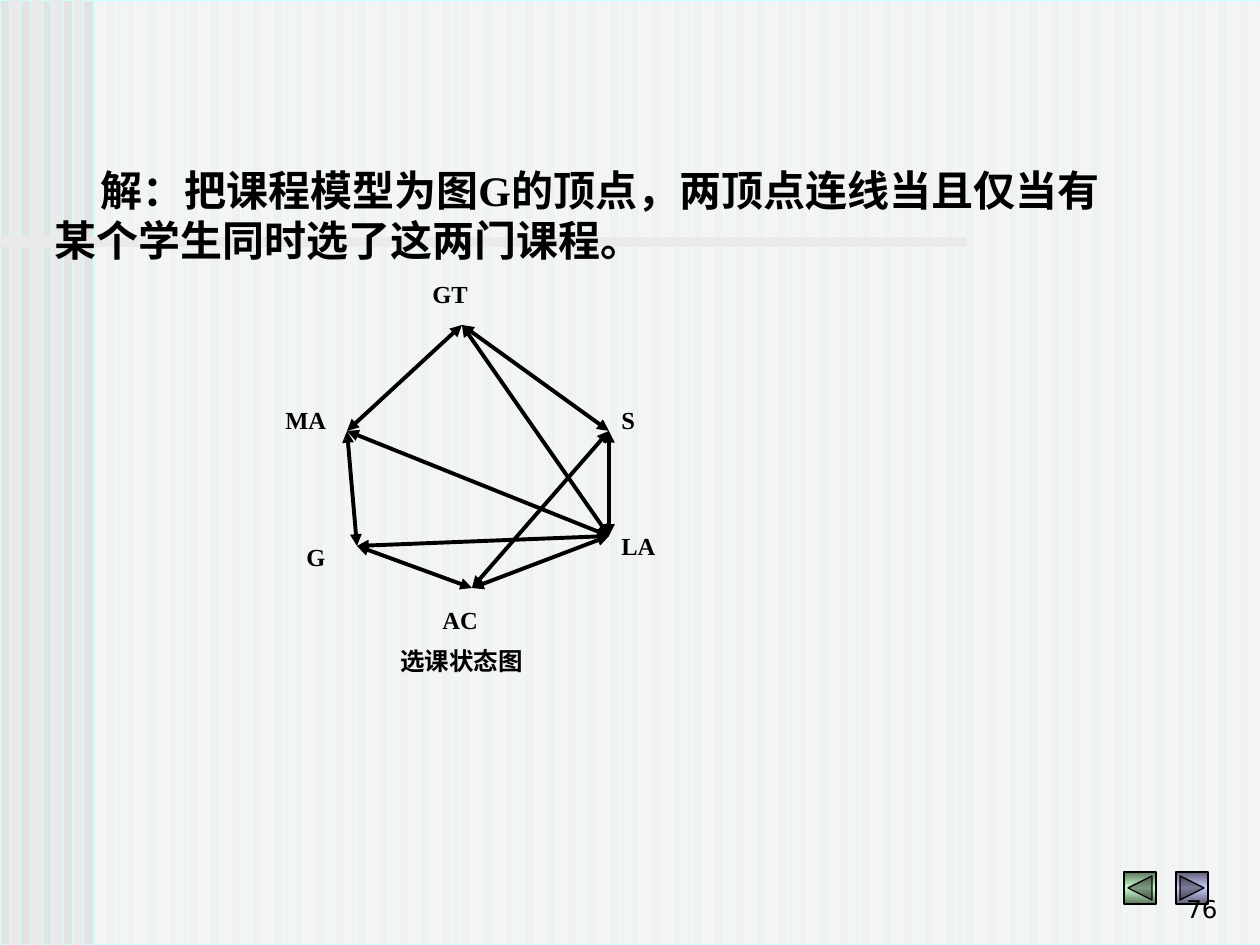
from dataclasses import dataclass

from lxml import etree
from pptx import Presentation
from pptx import util as u
from pptx.dml.color import RGBColor
from pptx.enum import shapes, text
from pptx.oxml import parse_xml
from pptx.oxml.ns import nsdecls, qn

PX_PER_INCH = 126
WIDTH, HEIGHT = 1260, 945
STRIPE_PITCH, STRIPE_WIDTH = 21, 10
LABEL_SIZE = (86, 43)


@dataclass(frozen=True)
class Theme:
    background: str = "EAEAEA"
    stripe: str = "DDDDDD"
    panel: str = "FFFFFF"
    edge: str = "CCFFFF"
    ink: str = "000000"
    body_font: str = "Times New Roman"
    number_font: str = "DejaVu Sans"
    body_size: float = 24
    label_size: float = 14
    thin: float = 0.5
    button_line: float = 0.75
    graph_line: float = 2.25
    rule_line: float = 6


@dataclass(frozen=True)
class Course:
    name: str
    vertex: tuple[int, int]
    label: tuple[int, int]


@dataclass(frozen=True)
class Button:
    preset: shapes.MSO_SHAPE
    left: int
    dark: str
    light: str


THEME = Theme()

COURSES = [
    Course("GT", (462, 325), (420, 273)),
    Course("MA", (347, 431), (273, 399)),
    Course("G", (357, 546), (294, 536)),
    Course("AC", (472, 588), (430, 599)),
    Course("LA", (609, 536), (609, 525)),
    Course("S", (609, 431), (609, 399)),
]

SHARED_STUDENTS = [
    ("GT", "MA"), ("GT", "S"), ("MA", "G"), ("S", "LA"), ("G", "AC"),
    ("LA", "AC"), ("GT", "LA"), ("MA", "LA"), ("G", "LA"), ("S", "AC"),
]

BUTTONS = [
    Button(shapes.MSO_SHAPE.ACTION_BUTTON_BACK_OR_PREVIOUS, 1124, "5E765E", "CCFFCC"),
    Button(shapes.MSO_SHAPE.ACTION_BUTTON_FORWARD_OR_NEXT, 1176, "5E5E76", "CCCCFF"),
]


def px(n: int) -> u.Emu:
    return u.Emu(round(n * 914400 / PX_PER_INCH))


def rgb(color: str) -> RGBColor:
    return RGBColor.from_string(color)


def set_line(sp, color: str, width: float) -> None:
    sp.line.color.rgb = rgb(color)
    sp.line.width = u.Pt(width)


def add_veil(tree, left: int, width: int, color: str) -> None:
    """Draw a full-height rectangle at half opacity."""
    sp = tree.add_shape(shapes.MSO_SHAPE.RECTANGLE, px(left), 0, px(width), px(HEIGHT))
    sp.shadow.inherit = False
    sp.fill.solid()
    sp.fill.fore_color.rgb = rgb(color)
    srgb = sp.fill._xPr.find(".//" + qn("a:srgbClr"))
    etree.SubElement(srgb, qn("a:alpha"), val="50000")
    set_line(sp, THEME.edge, THEME.thin)


def add_button(tree, button: Button) -> None:
    sp = tree.add_shape(button.preset, px(button.left), px(872), px(32), px(32))
    sp.shadow.inherit = False
    set_line(sp, THEME.ink, THEME.button_line)
    stops = "".join(
        f'<a:gs pos="{pos}"><a:srgbClr val="{color}"/></a:gs>'
        for pos, color in ((0, button.dark), (50000, button.light), (100000, button.dark))
    )
    gradient = parse_xml(
        f'<a:gradFill {nsdecls("a")}><a:gsLst>{stops}</a:gsLst>'
        '<a:lin ang="5400000" scaled="1"/></a:gradFill>'
    )
    sp._element.spPr.find(qn("a:prstGeom")).addnext(gradient)


def add_line(tree, start: tuple[int, int], end: tuple[int, int], *,
             color: str, width: float, arrows: bool = False) -> None:
    cx = tree.add_connector(shapes.MSO_CONNECTOR.STRAIGHT,
                            px(start[0]), px(start[1]), px(end[0]), px(end[1]))
    set_line(cx, color, width)
    if arrows:
        for tag in ("a:headEnd", "a:tailEnd"):
            etree.SubElement(cx.line._get_or_add_ln(), qn(tag), type="triangle")
    etree.SubElement(cx._element.spPr, qn("a:effectLst"))


def add_text(tree, content: str, at: tuple[int, int], size: tuple[int, int], *,
             points: float = THEME.label_size, font: str = THEME.body_font,
             bold: bool = True, align=text.PP_ALIGN.LEFT,
             anchor=text.MSO_ANCHOR.TOP, indent: int = 0) -> None:
    tb = tree.add_textbox(px(at[0]), px(at[1]), px(size[0]), px(size[1]))
    tf = tb.text_frame
    tf.word_wrap = True
    tf.vertical_anchor = anchor
    p = tf.paragraphs[0]
    p.alignment = align
    if indent:
        p._p.get_or_add_pPr().set("indent", str(px(indent)))
    r = p.add_run()
    r.text = content
    r.font.name = font
    r.font.size = u.Pt(points)
    r.font.bold = bold
    r.font.color.rgb = rgb(THEME.ink)


def draw_backdrop(s) -> None:
    s.background.fill.solid()
    s.background.fill.fore_color.rgb = rgb(THEME.background)
    tree = s.shapes.add_group_shape().shapes
    for left in range(0, WIDTH, STRIPE_PITCH):
        add_veil(tree, left, STRIPE_WIDTH, THEME.stripe)
    add_veil(tree, 94, WIDTH - 94, THEME.panel)
    for button in BUTTONS:
        add_button(s.shapes, button)
    add_line(s.shapes, (0, 242), (966, 242),
             color=THEME.background, width=THEME.rule_line)


def draw_course_graph(s) -> None:
    tree = s.shapes.add_group_shape().shapes
    vertex = {c.name: c.vertex for c in COURSES}
    for a, b in SHARED_STUDENTS:
        add_line(tree, vertex[a], vertex[b],
                 color=THEME.ink, width=THEME.graph_line, arrows=True)
    for course in COURSES:
        add_text(tree, course.name, course.label, LABEL_SIZE)
    add_text(tree, "选课状态图", (388, 640), (199, 43))


def main() -> None:
    prs = Presentation()
    prs.slide_width, prs.slide_height = px(WIDTH), px(HEIGHT)
    s = prs.slides.add_slide(prs.slide_layouts[6])
    draw_backdrop(s)
    add_text(s.shapes, "76", (968, 867), (262, 63), font=THEME.number_font, bold=False,
             align=text.PP_ALIGN.RIGHT, anchor=text.MSO_ANCHOR.BOTTOM)
    add_text(s.shapes,
             "解：把课程模型为图G的顶点，两顶点连线当且仅当有某个学生同时选了这两门课程。",
             (42, 158), (1071, 113), points=THEME.body_size, indent=46)
    draw_course_graph(s)
    prs.save("out.pptx")


if __name__ == "__main__":
    main()
